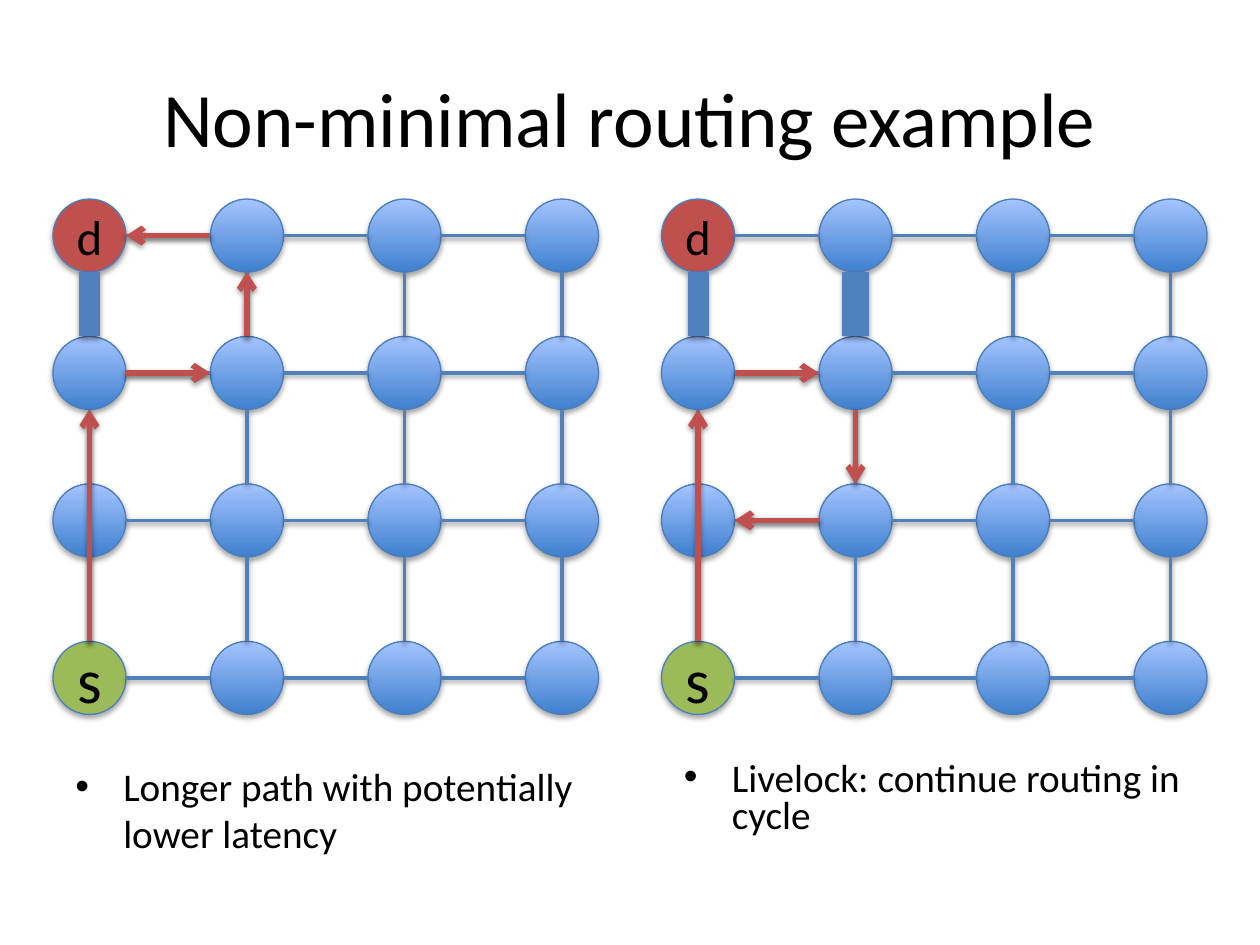
from lxml.etree import SubElement
from pptx import Presentation
from pptx.dml.color import RGBColor
from pptx.enum.shapes import MSO_CONNECTOR as Connector, MSO_SHAPE as Shape
from pptx.enum.text import MSO_ANCHOR as Anchor, PP_ALIGN as Align
from pptx.oxml.ns import qn
from pptx.util import Inches, Pt

BLACK = RGBColor(0x00, 0x00, 0x00)
BLUE = RGBColor(0x4F, 0x81, 0xBD)
OUTLINE = RGBColor(0x4B, 0x7E, 0xBC)
NODE_DARK = RGBColor(0x3F, 0x80, 0xCE)
NODE_LIGHT = RGBColor(0xA4, 0xC4, 0xFF)
RED = RGBColor(0xC0, 0x50, 0x4D)
GREEN = RGBColor(0x9B, 0xBB, 0x59)

NODE = 0.58
PITCH = 1.25
ROWS = [1.58, 2.67, 3.84, 5.09]
COLUMNS = range(4)
LABELS = {(0, 0): ("d", 28, RED), (0, 3): ("s", 36, GREEN)}

SOURCE_ROUTE = [((0, 3), (0, 1)), ((0, 1), (1, 1))]
MESHES = [
    (0.42, {((0, 0), (0, 1)): 12},
     SOURCE_ROUTE + [((1, 1), (1, 0)), ((1, 0), (0, 0))]),
    (5.25, {((0, 0), (0, 1)): 12, ((1, 0), (1, 1)): 15},
     SOURCE_ROUTE + [((1, 1), (1, 2)), ((1, 2), (0, 2))]),
]


class SlideBuilder:
    font = "Calibri"

    def __init__(self, page):
        self.page = page

    def add_span(self, para, text, size):
        span = para.add_run()
        span.text = text
        span.font.name = self.font
        span.font.size = Pt(size)
        span.font.color.rgb = BLACK

    def title(self, text, left, top, width, height):
        box = self.page.shapes.title
        box.left, box.top = Inches(left), Inches(top)
        box.width, box.height = Inches(width), Inches(height)
        box.text_frame.vertical_anchor = Anchor.MIDDLE
        para = box.text_frame.paragraphs[0]
        para.alignment = Align.CENTER
        self.add_span(para, text, 44)

    def bullet(self, text, left, top, width, height, spacing):
        box = self.page.shapes.add_textbox(
            Inches(left), Inches(top), Inches(width), Inches(height))
        box.text_frame.word_wrap = True
        para = box.text_frame.paragraphs[0]
        para.space_before = Pt(4.5)
        para.line_spacing = spacing
        props = para._p.get_or_add_pPr()
        props.set("marL", str(Inches(0.38)))
        props.set("indent", str(Inches(-0.38)))
        SubElement(props, qn("a:buFont"), typeface="Arial")
        SubElement(props, qn("a:buChar"), char="•")
        self.add_span(para, text, 22.4)

    def shadow(self, effects, distance, opacity):
        outer = SubElement(
            effects, qn("a:outerShdw"), blurRad=str(Pt(3.1)),
            dist=str(Pt(distance)), dir="5400000", rotWithShape="0")
        color = SubElement(outer, qn("a:srgbClr"), val=str(BLACK))
        SubElement(color, qn("a:alpha"), val=str(opacity * 1000))

    def node(self, left, top, label=None):
        circle = self.page.shapes.add_shape(
            Shape.OVAL, Inches(left), Inches(top), Inches(NODE), Inches(NODE))
        circle.line.color.rgb = OUTLINE
        circle.line.width = Pt(0.75)
        circle.shadow.inherit = False
        self.shadow(circle._element.spPr.find(qn("a:effectLst")), 1.8, 35)
        if label:
            text, size, color = label
            circle.fill.solid()
            circle.fill.fore_color.rgb = color
            circle.text_frame.vertical_anchor = Anchor.MIDDLE
            para = circle.text_frame.paragraphs[0]
            para.alignment = Align.CENTER
            self.add_span(para, text, size)
        else:
            circle.fill.gradient()
            circle.fill.gradient_angle = 90
            for stop, color in zip(circle.fill.gradient_stops, (NODE_DARK, NODE_LIGHT)):
                stop.color.rgb = color

    def link(self, mesh_left, start, end, color=BLUE, width=2, arrow=False):
        points = []
        for here, other in ((start, end), (end, start)):
            steps = [(b > a) - (b < a) for a, b in zip(here, other)]
            corner = (mesh_left + here[0] * PITCH, ROWS[here[1]])
            points += [Inches(edge + NODE / 2 * (1 + step))
                       for edge, step in zip(corner, steps)]
        line = self.page.shapes.add_connector(Connector.STRAIGHT, *points)
        line.line.color.rgb = color
        line.line.width = Pt(width)
        properties = line._element.spPr
        if arrow:
            SubElement(properties.find(qn("a:ln")), qn("a:tailEnd"), type="arrow")
        self.shadow(SubElement(properties, qn("a:effectLst")), 1.6, 38)

    def mesh(self, left, widths, route):
        spots = [(column, row) for row in range(len(ROWS)) for column in COLUMNS]
        for column, row in spots:
            self.node(left + column * PITCH, ROWS[row], LABELS.get((column, row)))
        for column, row in spots:
            for neighbour in ((column + 1, row), (column, row + 1)):
                if neighbour in spots:
                    pair = ((column, row), neighbour)
                    self.link(left, *pair, width=widths.get(pair, 2))
        for start, end in route:
            self.link(left, start, end, RED, 3.25, arrow=True)


def main():
    deck = Presentation()
    deck.slide_width, deck.slide_height = Inches(10), Inches(7.5)
    builder = SlideBuilder(deck.slides.add_slide(deck.slide_layouts[5]))
    builder.title("Non-minimal routing example", 0.5, 0.3, 9, 1.25)
    for left, widths, route in MESHES:
        builder.mesh(left, widths, route)
    builder.bullet("Longer path with potentially lower latency", 0.5, 6, 4.25, 0.7, 1.0)
    builder.bullet("Livelock: continue routing in cycle", 5.33, 6, 4.25, 0.7, 0.8)
    deck.save("out.pptx")


if __name__ == "__main__":
    main()
